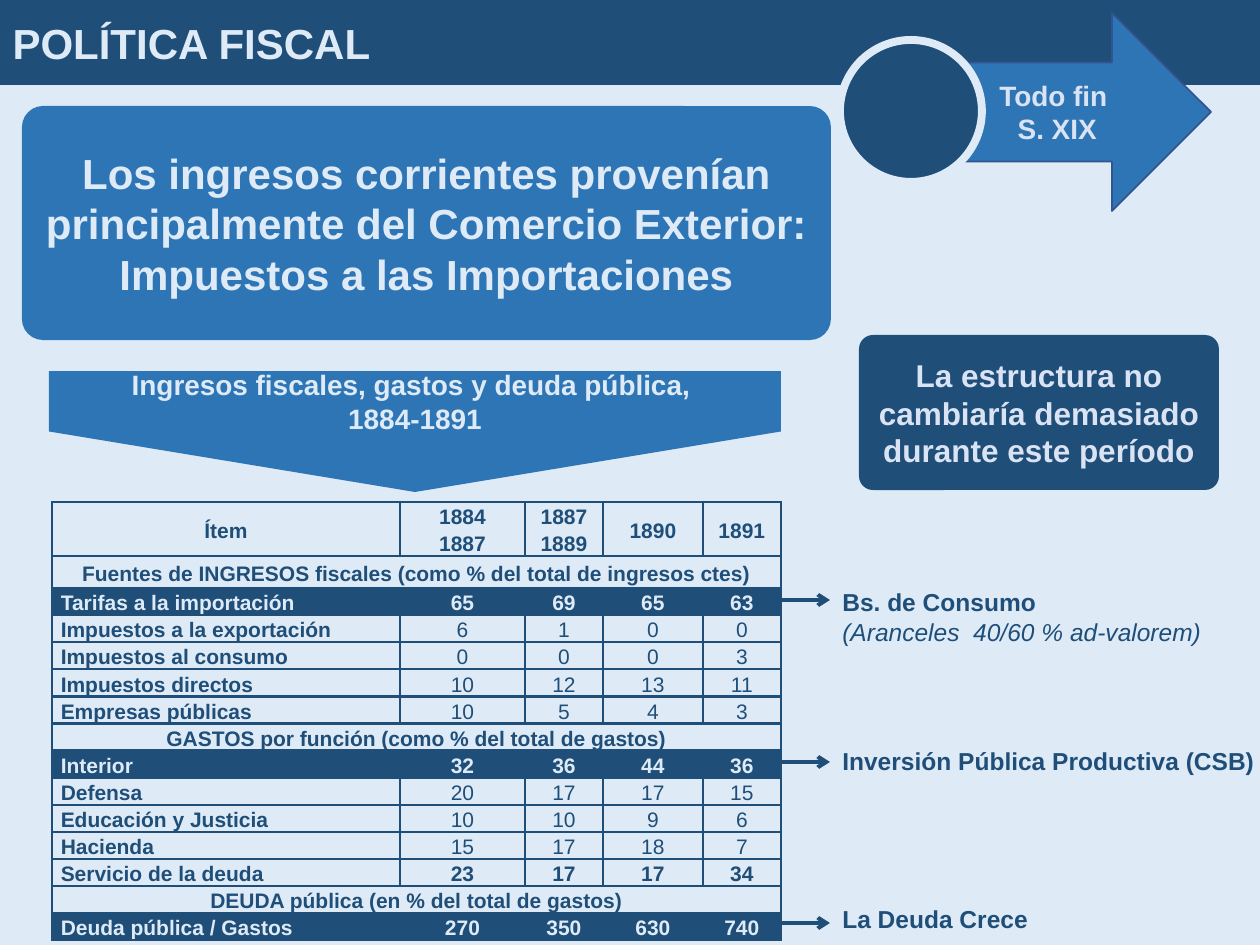
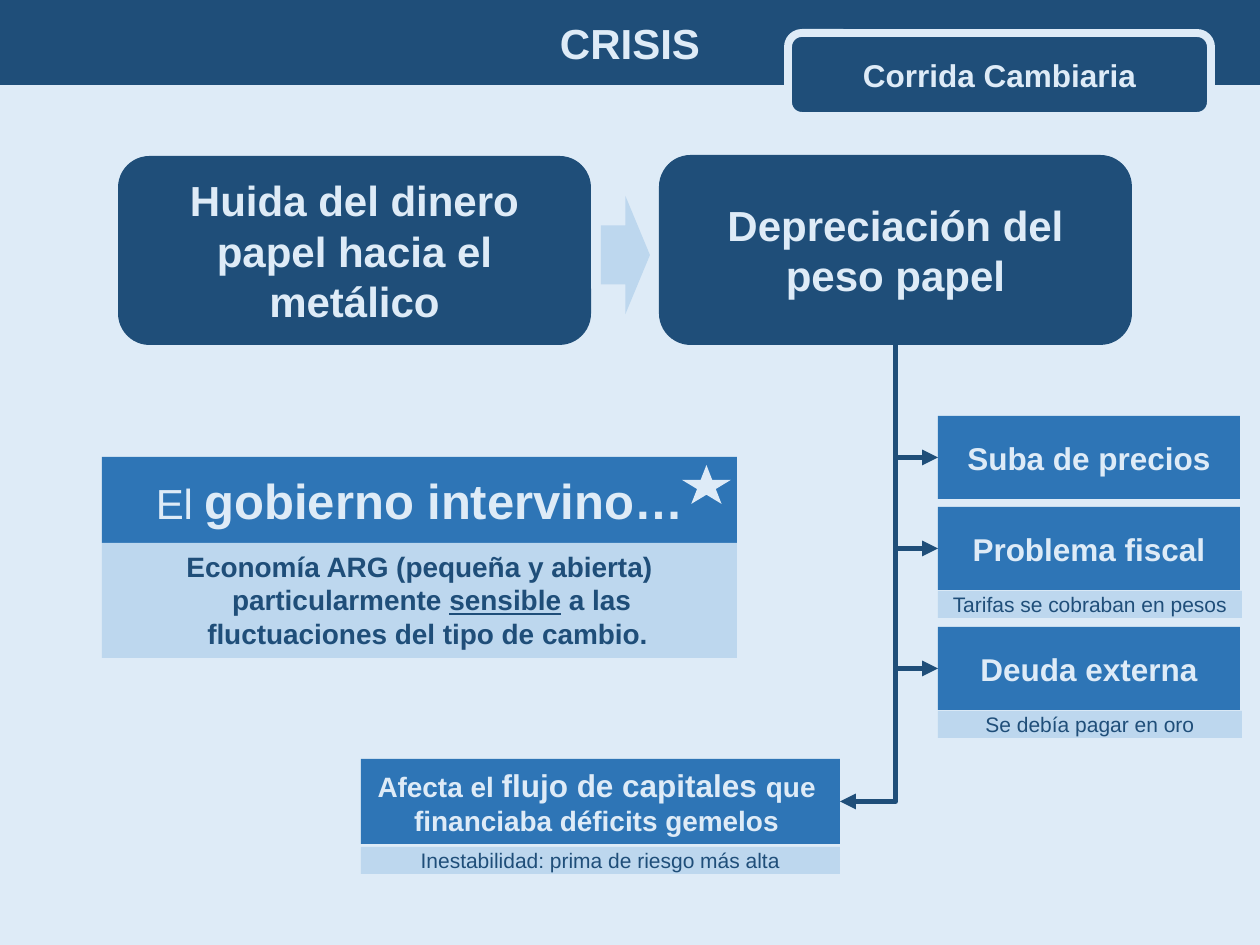
from lxml import etree
from pptx import Presentation
from pptx import util as u
from pptx.dml.color import RGBColor
from pptx.enum import shapes, text
from pptx.oxml import ns

PX = 914400 // 126
FONT = "Arial"
NAVY, BLUE, SKY, PALE, LILAC = "1F4E79", "2E75B6", "BDD7EE", "DEEBF7", "DAE3F3"
OUTLINE = "325491"
SHAPE = shapes.MSO_SHAPE
LEFT, CENTER = text.PP_ALIGN.LEFT, text.PP_ALIGN.CENTER
MIDDLE, TOP = text.MSO_ANCHOR.MIDDLE, text.MSO_ANCHOR.TOP
HANGING = 24  # px of hanging indent

# ---- Content: fiscal policy ----
BUDGET_AT = (52, 502)
BUDGET_COLUMNS = [348, 125, 78, 100, 78]
HEADER_HEIGHT, FIRST_SECTION_HEIGHT, ROW_HEIGHT = 54, 32, 27
BUDGET = [
    ["Ítem", "1884\n1887", "1887 1889", "1890", "1891"],
    ["Fuentes de INGRESOS fiscales (como % del total de ingresos ctes)"],
    ["Tarifas a la importación", 65, 69, 65, 63],
    ["Impuestos a la exportación", 6, 1, 0, 0],
    ["Impuestos al consumo", 0, 0, 0, 3],
    ["Impuestos directos", 10, 12, 13, 11],
    ["Empresas públicas", 10, 5, 4, 3],
    ["GASTOS por función (como % del total de gastos)"],
    ["Interior", 32, 36, 44, 36],
    ["Defensa", 20, 17, 17, 15],
    ["Educación y Justicia", 10, 10, 9, 6],
    ["Hacienda", 15, 17, 18, 7],
    ["Servicio de la deuda", 23, 17, 17, 34],
    ["DEUDA pública (en % del total de gastos)"],
    ["Deuda pública / Gastos", 270, 350, 630, 740],
]
HIGHLIGHTED = {"Tarifas a la importación", "Interior", "Deuda pública / Gastos"}
BOLD_VALUES = HIGHLIGHTED | {"Ítem", "Servicio de la deuda"}

# (paragraphs, text top, arrow height)
REMARKS = [
    (["Bs. de Consumo",
      [("(Aranceles  40/60 % ad-valorem)", {"bold": False, "italic": True})]], 581, 600),
    ("Inversión Pública Productiva (CSB)", 740, 762),
    ("La Deuda Crece", 898, 923),
]
INCOME = ("Los ingresos corrientes provenían principalmente del Comercio Exterior: "
          "Impuestos a las Importaciones")
TABLE_TITLE = ["Ingresos fiscales, gastos y deuda pública, ", "1884-1891"]
STRUCTURE = "La estructura no cambiaría demasiado durante este período"
PERIOD = ["Todo fin ", "S. XIX"]

# ---- Content: crisis ----
FLIGHT = "Huida del dinero papel hacia el metálico"
DEPRECIATION = "Depreciación del peso papel"
INTERVENTION = [[("El ", {"bold": False}), ("gobierno intervino…", {"size": u.Pt(28)})]]
OPENNESS = [[("Economía ARG (pequeña y abierta) particularmente ", {}),
             ("sensible", {"underline": True}),
             (" a las fluctuaciones del tipo de cambio. ", {})]]
# (effect, note below, top, hanging indent)
EFFECTS = [
    ("Suba de precios", None, 416, 0),
    ("Problema fiscal", "Tarifas se cobraban en pesos", 507, HANGING),
    ("Deuda externa", "Se debía pagar en oro", 627, HANGING),
]
CAPITAL = [[("Afecta el ", {}), ("flujo de capitales ", {"size": u.Pt(18)}), ("que ", {})],
           "financiaba déficits gemelos "]
RISK = "Inestabilidad: prima de riesgo más alta"


# ---- Helpers ----
def rgb(value):
    return RGBColor.from_string(value)


def px(*lengths):
    return [u.Emu(length * PX) for length in lengths]


def write(frame, content, size, color, bold=True, align=CENTER, hanging=0, spacing=None):
    """Fill a frame; a paragraph is a string or a list of (text, font overrides)."""
    paragraphs = content if isinstance(content, list) else content.split("\n")
    for index, pieces in enumerate(paragraphs):
        paragraph = frame.add_paragraph() if index else frame.paragraphs[0]
        paragraph.alignment = align
        paragraph.line_spacing = spacing
        if hanging:
            properties = paragraph._p.get_or_add_pPr()
            properties.set("marL", str(hanging * PX))
            properties.set("indent", str(-hanging * PX))
        for words, overrides in [(pieces, {})] if isinstance(pieces, str) else pieces:
            run = paragraph.add_run()
            run.text = words
            font = run.font
            font.name, font.size, font.bold = FONT, u.Pt(size), bold
            font.color.rgb = rgb(color)
            for key, value in overrides.items():
                setattr(font, key, value)


def add_box(slide, kind, at, fill, content=None, size=18, color=PALE, *, bold=True,
            hanging=0, anchor=MIDDLE, adjust=(), line=None, width=1):
    box = slide.shapes.add_shape(kind, *px(*at))
    box.shadow.inherit = False
    for index, value in enumerate(adjust):
        box.adjustments[index] = value
    box.fill.solid()
    box.fill.fore_color.rgb = rgb(fill)
    if line:
        box.line.color.rgb = rgb(line)
        box.line.width = u.Pt(width)
    else:
        box.line.fill.background()
    if content:
        box.text_frame.word_wrap = True
        box.text_frame.vertical_anchor = anchor
        write(box.text_frame, content, size, color, bold, hanging=hanging)
    return box


def style_arrow(arrow, width, end, head):
    arrow.line.color.rgb = rgb(NAVY)
    arrow.line.width = u.Pt(width)
    etree.SubElement(arrow.line._get_or_add_ln(), ns.qn(f"a:{end}")).set("type", head)
    etree.SubElement(arrow._element.spPr, ns.qn("a:effectLst"))


def add_branch(slide, source, target, side):
    """Join the bottom of source to one side of target with a single bend."""
    branch = slide.shapes.add_connector(shapes.MSO_CONNECTOR.ELBOW, 0, 0, 0, 0)
    branch.begin_connect(target, side)
    branch.end_connect(source, 2)
    branch._element.spPr.find(ns.qn("a:prstGeom")).set("prst", "bentConnector2")
    style_arrow(branch, 3, "headEnd", "triangle")


def add_titled_slide(prs, heading, align):
    slide = prs.slides.add_slide(prs.slide_layouts[5])
    band = slide.shapes.title
    band.left, band.top, band.width, band.height = px(0, 0, 1260, 85)
    band.fill.solid()
    band.fill.fore_color.rgb = rgb(NAVY)
    frame = band.text_frame
    frame.word_wrap = True
    frame.auto_size = text.MSO_AUTO_SIZE.NONE
    frame.vertical_anchor = MIDDLE
    write(frame, heading, 24, PALE, align=align)
    return slide


def format_cell(cell, content, dark, bold, align):
    properties = cell._tc.get_or_add_tcPr()
    for side in ("lnL", "lnR", "lnT", "lnB"):
        border = etree.SubElement(properties, ns.qn(f"a:{side}"), w=str(u.Pt(1.5)))
        paint = etree.SubElement(border, ns.qn("a:solidFill"))
        etree.SubElement(paint, ns.qn("a:srgbClr")).set("val", NAVY)
    cell.fill.solid()
    cell.fill.fore_color.rgb = rgb(NAVY if dark else PALE)
    cell.vertical_anchor = MIDDLE
    cell.margin_left = cell.margin_right = u.Inches(0.07)
    cell.margin_top = cell.margin_bottom = 0
    write(cell.text_frame, content, 12, PALE if dark else NAVY, bold, align, spacing=1.15)


def add_budget(slide):
    heights = [HEADER_HEIGHT, FIRST_SECTION_HEIGHT] + [ROW_HEIGHT] * (len(BUDGET) - 2)
    size = (sum(BUDGET_COLUMNS), sum(heights))
    table = slide.shapes.add_table(len(BUDGET), len(BUDGET_COLUMNS),
                                   *px(*BUDGET_AT, *size)).table
    table.first_row = table.horz_banding = False
    for column, width in zip(table.columns, px(*BUDGET_COLUMNS)):
        column.width = width
    for index, (row, height) in enumerate(zip(BUDGET, px(*heights))):
        table.rows[index].height = height
        item = row[0]
        is_section = len(row) == 1
        if is_section:
            table.cell(index, 0).merge(table.cell(index, len(BUDGET_COLUMNS) - 1))
        for position in range(len(BUDGET_COLUMNS)):
            content = str(row[position]) if position < len(row) else ""
            is_label = position == 0 and index > 0 and not is_section
            format_cell(table.cell(index, position), content, item in HIGHLIGHTED,
                        position == 0 or item in BOLD_VALUES, LEFT if is_label else CENTER)


# ---- Slides ----
def build_fiscal_policy(prs):
    slide = add_titled_slide(prs, "POLÍTICA FISCAL", LEFT)
    add_budget(slide)
    for remark, top, arrow_y in REMARKS:
        frame = slide.shapes.add_textbox(*px(830, top, 430, 43)).text_frame
        frame.word_wrap = True
        frame.margin_right = 0
        write(frame, remark, 14, NAVY, align=LEFT)
        arrow = slide.shapes.add_connector(shapes.MSO_CONNECTOR.STRAIGHT,
                                           *px(772, arrow_y, 830, arrow_y))
        style_arrow(arrow, 2.25, "tailEnd", "arrow")
    add_box(slide, SHAPE.ROUNDED_RECTANGLE, (22, 106, 809, 234), BLUE, INCOME, 24,
            adjust=[0.09])
    add_box(slide, SHAPE.DOWN_ARROW, (49, 371, 732, 121), BLUE, TABLE_TITLE, 16,
            adjust=[1, 0.5])
    add_box(slide, SHAPE.ROUNDED_RECTANGLE, (859, 335, 360, 155), NAVY, STRUCTURE, 18,
            LILAC, adjust=[0.09])
    add_box(slide, SHAPE.RIGHT_ARROW, (953, 13, 258, 198), BLUE, PERIOD, 16, LILAC,
            line=OUTLINE)
    add_box(slide, SHAPE.OVAL, (840, 40, 142, 142), NAVY, line=PALE, width=4.5)


def build_crisis(prs):
    slide = add_titled_slide(prs, "CRISIS", CENTER)
    add_box(slide, SHAPE.ROUNDED_RECTANGLE, (788, 33, 423, 83), NAVY,
            "Corrida Cambiaria", line=PALE, width=4.5)

    # Flight from paper money leads to depreciation
    add_box(slide, SHAPE.ROUNDED_RECTANGLE, (118, 156, 473, 189), NAVY, FLIGHT, 24)
    add_box(slide, SHAPE.RIGHT_ARROW, (601, 196, 49, 118), SKY)
    depreciation = add_box(slide, SHAPE.ROUNDED_RECTANGLE, (659, 155, 473, 190), NAVY,
                           DEPRECIATION, 24)

    # Government intervention
    add_box(slide, SHAPE.RECTANGLE, (102, 457, 635, 86), BLUE, INTERVENTION, 24)
    add_box(slide, SHAPE.RECTANGLE, (102, 543, 635, 115), SKY, OPENNESS, 16, NAVY,
            hanging=HANGING, anchor=TOP)
    add_box(slide, SHAPE.STAR_5_POINT, (682, 465, 49, 39), PALE)

    # Effects of the depreciation
    for effect, note, top, hanging in EFFECTS:
        target = add_box(slide, SHAPE.RECTANGLE, (938, top, 302, 83), BLUE, effect,
                         hanging=hanging)
        if note:
            add_box(slide, SHAPE.RECTANGLE, (938, top + 84, 304, 27), SKY, note, 12, NAVY,
                    bold=False, hanging=HANGING)
        add_branch(slide, depreciation, target, 1)
    capital = add_box(slide, SHAPE.RECTANGLE, (361, 759, 479, 85), BLUE, CAPITAL, 16,
                      hanging=HANGING)
    add_box(slide, SHAPE.RECTANGLE, (361, 847, 479, 27), SKY, RISK, 12, NAVY,
            bold=False, hanging=HANGING)
    add_branch(slide, depreciation, capital, 3)


def main():
    prs = Presentation()
    prs.slide_width, prs.slide_height = px(1260, 945)
    background = prs.slide_master.background.fill
    background.solid()
    background.fore_color.rgb = rgb(PALE)
    build_fiscal_policy(prs)
    build_crisis(prs)
    prs.save("out.pptx")


if __name__ == "__main__":
    main()
